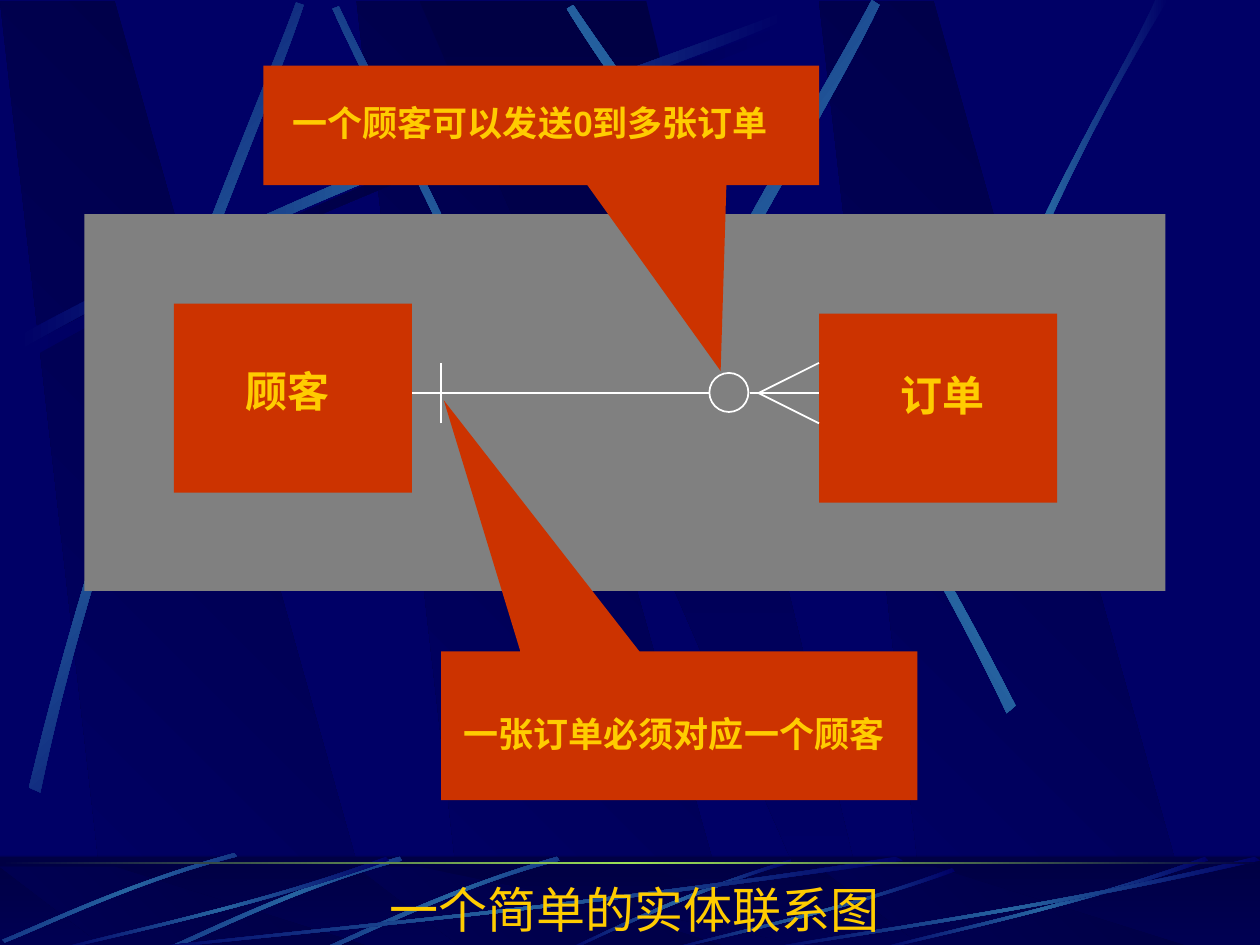
from lxml.etree import SubElement
from pptx import Presentation
from pptx.dml.color import RGBColor
from pptx.enum.shapes import MSO_CONNECTOR, MSO_SHAPE
from pptx.enum.text import MSO_ANCHOR, MSO_AUTO_SIZE, PP_ALIGN
from pptx.oxml.ns import qn
from pptx.util import Cm, Pt

THEME = {
    "blue": "000066", "navy": "000044", "beam": "2663A0", "green": "9CE157",
    "board": "808080", "box": "CC3300", "line": "FFFFFF", "text": "FFCC00",
    "font": "Arial", "callout": 20, "entity": 24, "title": 28,
}

# Content: all places are in inches on a 10 x 7.5 slide
BOARD = (0.67, 1.7, 8.58, 2.99)
ENTITIES = [(1.38, 2.41, 1.89, 1.5), (6.5, 2.49, 1.89, 1.5)]
RELATION_LINES = [
    (3.27, 3.12, 5.63, 3.12), (3.5, 3.36, 3.5, 2.88), (5.95, 3.12, 6.5, 3.12),
    (6.02, 3.12, 6.5, 3.36), (6.02, 3.12, 6.5, 2.88),
]
ZERO_CIRCLE = (5.63, 2.96, 0.31, 0.31)
ENTITY_LABELS = [
    ("顾客", (1.69, 2.85, 1.18, 0.5)),
    ("订单", (6.89, 2.88, 1.18, 0.5)),
]
CALLOUTS = [  # text, text place, callout place, pointer tip
    ("一张订单必须对应一个顾客", (3.58, 5.6, 3.54, 0.44),
     (3.5, 5.17, 3.78, 1.18), (-0.494, -2.189)),
    ("一个顾客可以发送0到多张订单", (2.16, 0.42, 4.1, 0.77),
     (2.09, 0.52, 4.41, 0.95), (0.323, 2.052)),
]
TITLE = ("一个简单的实体联系图", (2.24, 6.93, 5.59, 0.57))

# Backdrop: panels are (left, bottom and top corner offsets, gradient angle)
SLANT = (0.86, 3.02, 0.91, 0)
PANELS = [(2.83, SLANT, 135), (0, SLANT, 135), (6.5, SLANT, 135),
          (3.33, (3.25, 3.61, 1.8, 0), 90)]
# Streaks are an outward curve, a return curve, a gradient angle and a middle colour
SKY_STREAKS = [
    ([(0.2, 2.75), (2.84, 1.34), (5.24, 0.59), (6.26, 0.18)],
     [(6.29, 0.24), (5.28, 0.69), (2.54, 1.51), (0.23, 2.85)], 180, "navy"),
    ([(4.6, 4.36), (3.91, 2.34), (3.02, 0.77), (2.69, 0.05)],
     [(2.64, 0.07), (2.95, 0.79), (3.98, 2.58), (4.54, 4.39)], 135, "beam"),
    ([(0.14, 2.67), (2.78, 1.25), (5.18, 0.51), (6.2, 0.1)],
     [(6.23, 0.16), (5.22, 0.61), (2.48, 1.43), (0.17, 2.77)], 180, "beam"),
    ([(0.23, 6.25), (0.93, 3.34), (1.97, 1.05), (2.35, 0.02)],
     [(2.41, 0.04), (2.07, 1.08), (0.86, 3.68), (0.32, 6.29)], 228.3, "beam"),
    ([(3.85, 6.14), (4.98, 3.2), (6.38, 1.02), (6.92, 0)],
     [(6.98, 0.04), (6.49, 1.08), (4.86, 3.55), (3.94, 6.21)], 218.4, "beam"),
    ([(8.06, 5.6), (6.7, 2.93), (5.16, 0.95), (4.55, 0.04)],
     [(4.5, 0.07), (5.07, 1.01), (6.85, 3.25), (7.99, 5.66)], 145.2, "beam"),
    ([(7.38, 3.93), (8.14, 1.73), (8.88, 0.66), (9.17, 0)],
     [(9.27, 0), (8.36, 1.45), (7.69, 3.22), (7.44, 3.97)], 180, "beam"),
]
# Floor streaks: curves as shares of a frame, and the frames they fill
STEEP = ([(1, 0), (0.5, 0.37), (0.16, 0.82), (0, 0.99)],
         [(0.02, 1), (0.23, 0.75), (0.68, 0.25), (1, 0.04)])
SHORT = ([(0.99, 0), (0.53, 0.33), (0.16, 0.8), (0, 0.97)],
         [(0.01, 1), (0.17, 0.84), (0.58, 0.31), (1, 0.04)])
LONG = ([(1, 0.04), (0.57, 0.57), (0.17, 0.85), (0.01, 1)],
        [(0, 0.99), (0.17, 0.81), (0.61, 0.51), (0.99, 0)])
FLOOR_STREAKS = [
    (STEEP, 180, [(4.48, 6.82, 1.8, 0.73)]),
    (SHORT, 225.1, [(2.56, 6.8, 1.88, 0.75), (1.31, 6.8, 1.88, 0.75),
                    (0.02, 6.77, 1.86, 0.71)]),
    (LONG, 180, [(1, 6.8, 6.17, 0.75), (0.42, 6.8, 2.67, 0.75),
                 (5.27, 6.89, 2.31, 0.66), (6.92, 6.8, 2.67, 0.75),
                 (6, 6.8, 4, 0.75)]),
]


def color(name):
    return RGBColor.from_string(THEME[name])


def length(inches):
    return Cm(inches * 2.54)


def lengths(values):
    return [length(value) for value in values]


def set_values(target, values):
    for name, value in values.items():
        setattr(target, name, value)


def set_gradient(shape, names, angle):
    """Spread the named colours evenly along a clockwise angle."""
    shape.fill.gradient()
    gradient = shape._element.spPr.find(qn("a:gradFill"))
    stops = gradient.find(qn("a:gsLst"))
    stops.clear()
    for index, name in enumerate(names):
        position = str(index * 100000 // (len(names) - 1))
        stop = SubElement(stops, qn("a:gs"), pos=position)
        SubElement(stop, qn("a:srgbClr"), val=THEME[name])
    gradient.find(qn("a:lin")).set("ang", str(round(angle * 60000)))


def add_block(place, fill=None, kind=MSO_SHAPE.RECTANGLE):
    shape = slide.shapes.add_shape(kind, *lengths(place))
    shape.shadow.inherit = False
    shape.line.fill.background()
    if fill:
        shape.fill.solid()
        shape.fill.fore_color.rgb = color(fill)
    else:
        shape.fill.background()
    return shape


def add_outline(points, names, angle):
    corners = [tuple(lengths(point)) for point in points]
    builder = slide.shapes.build_freeform(*corners[0])
    builder.add_line_segments(corners[1:], close=True)
    shape = builder.convert_to_shape()
    shape.shadow.inherit = False
    shape.line.fill.background()
    set_gradient(shape, names, angle)
    return shape


def add_streak(outward, back, angle, middle="beam"):
    shape = add_outline(outward + back, ("blue", middle, "blue"), angle)
    segments = list(shape._element.spPr.iter(qn("a:lnTo")))
    # Join each run of two handles and an end point into one Bézier segment
    for first in (0, 4):
        handles = segments[first:first + 3]
        handles[0].tag = qn("a:cubicBezTo")
        for segment in handles[1:]:
            handles[0].append(segment[0])
            segment.getparent().remove(segment)


def add_panels(top, bottom):
    for left, offsets, angle in PANELS:
        points = zip((left + offset for offset in offsets), (bottom, bottom, top, top))
        add_outline(list(points), ("navy", "blue"), angle)


def add_label(text, place, size, bold=True):
    frame = slide.shapes.add_textbox(*lengths(place)).text_frame
    set_values(frame, {"word_wrap": True, "vertical_anchor": MSO_ANCHOR.BOTTOM,
                       "auto_size": MSO_AUTO_SIZE.SHAPE_TO_FIT_TEXT})
    paragraph = frame.paragraphs[0]
    paragraph.alignment = PP_ALIGN.CENTER
    run = paragraph.add_run()
    run.text = text
    set_values(run.font, {"name": THEME["font"], "size": Pt(THEME[size]), "bold": bold})
    run.font.color.rgb = color("text")


presentation = Presentation()
set_values(presentation, {"slide_width": length(10), "slide_height": length(7.5)})
slide = presentation.slides.add_slide(presentation.slide_layouts[6])
slide.background.fill.solid()
slide.background.fill.fore_color.rgb = color("blue")

# Sky
add_panels(0.01, 7.52)
for streak in SKY_STREAKS:
    add_streak(*streak)

# Floor
set_gradient(add_block((0, 6.8, 10, 0.75)), ("navy", "blue"), 90)
add_panels(6.88, 7.54)
shade = add_block((0, 6.79, 10, 0.75), "navy")
SubElement(shade._element.spPr.find(".//" + qn("a:srgbClr")), qn("a:alpha"), val="50000")
for curves, angle, frames in FLOOR_STREAKS:
    for left, top, width, height in frames:
        outward, back = ([(left + x * width, top + y * height) for x, y in controls]
                         for controls in curves)
        add_streak(outward, back, angle)
set_gradient(add_block((0, 6.84, 10, 0.02)), ("navy", "green", "navy"), 180)

# Board, entities and the relation between them
add_block(BOARD, "board")
for place in ENTITIES:
    add_block(place, "box")
circle = add_block(ZERO_CIRCLE, kind=MSO_SHAPE.OVAL)
connectors = [slide.shapes.add_connector(MSO_CONNECTOR.STRAIGHT, *lengths(ends))
              for ends in RELATION_LINES]
for connector in connectors:
    SubElement(connector._element.spPr, qn("a:effectLst"))
for shape in [circle, *connectors]:
    shape.line.color.rgb = color("line")
    shape.line.width = Pt(1)
for text, place in ENTITY_LABELS:
    add_label(text, place, "entity")

# Callouts and title
for text, text_place, place, tip in CALLOUTS:
    callout = add_block(place, "box", MSO_SHAPE.RECTANGULAR_CALLOUT)
    for index, value in enumerate(tip):
        callout.adjustments[index] = value
    add_label(text, text_place, "callout")
add_label(*TITLE, "title", bold=False)

presentation.save("out.pptx")
